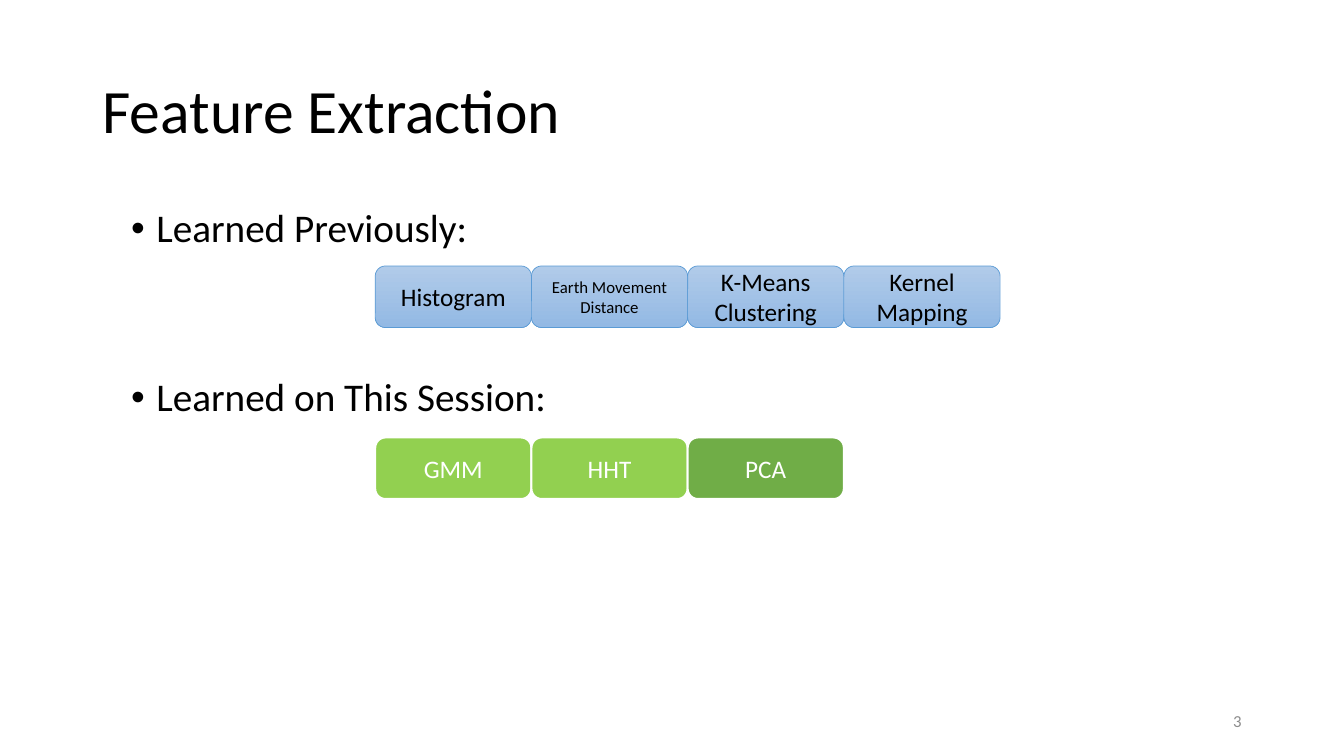
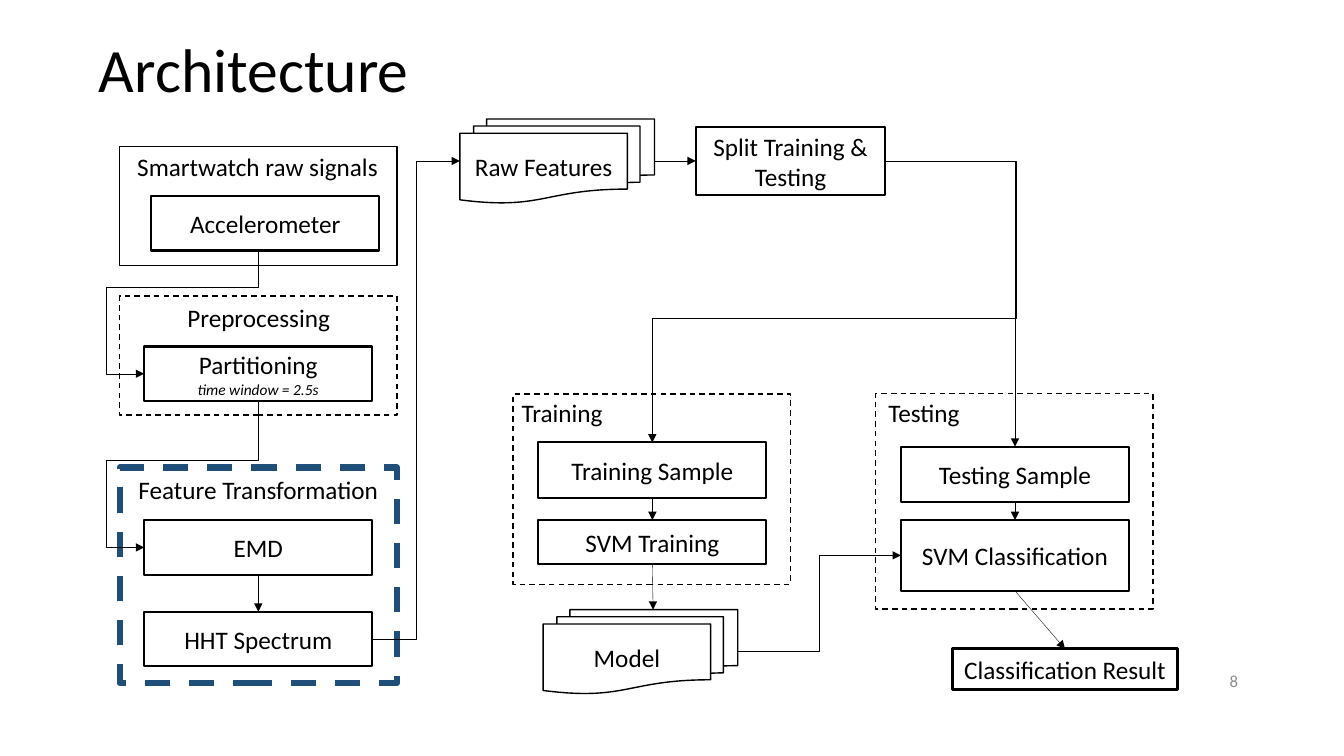
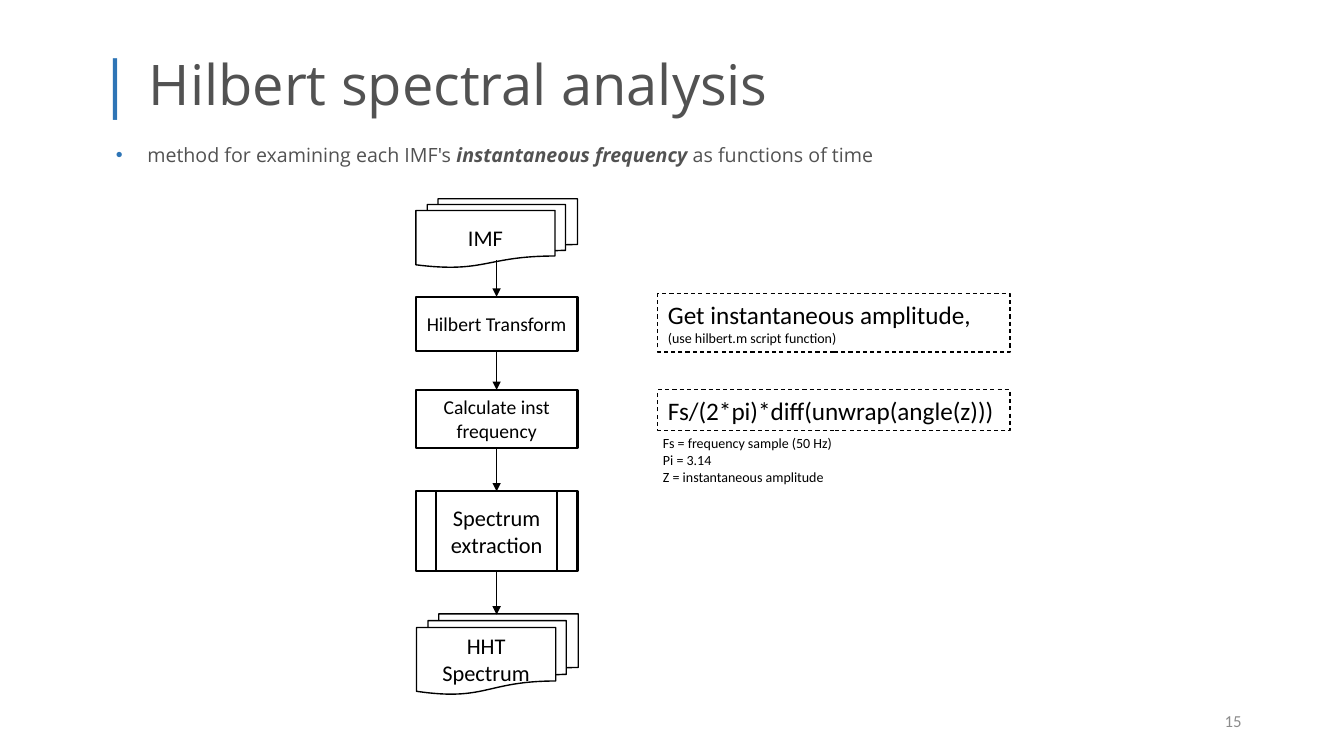
from collections import namedtuple

from pptx import Presentation
from pptx.dml.color import RGBColor
from pptx.enum.dml import MSO_LINE
from pptx.enum.shapes import MSO_CONNECTOR, MSO_SHAPE
from pptx.enum.text import MSO_ANCHOR, MSO_AUTO_SIZE, PP_ALIGN
from pptx.oxml.ns import qn
from pptx.oxml.xmlchemy import OxmlElement
from pptx.util import Pt

BLACK = "000000"
WHITE = "FFFFFF"
GRAY = "8C8C8C"
DARK_GRAY = "525252"
BLUE = "2E75B6"
NAVY = "1F4E79"
LIGHT_GREEN = "92D050"
GREEN = "70AD47"
PALE_BLUES = ("B1CBE9", "93B9E4")
BODY_FONT = "Calibri"
ACCENT_FONT = "Open Sans"

TITLE_AND_BODY, TITLE_ONLY = 1, 5
TOP, LEFT, BOTTOM, RIGHT = range(4)

# One end of a connector: the middle of a side of a shape.
Joint = namedtuple("Joint", "shape side")


def color(hex_code):
    return RGBColor.from_string(hex_code)


def points(*lengths):
    return [Pt(length) for length in lengths]


def write(shape, text, *, size=18, ink=BLACK, font=BODY_FONT, bold=False,
          italic=False, align=PP_ALIGN.LEFT, spacing=None, before=0, same_line=False):
    """Add text as a new paragraph, or to the last one if same_line is set."""
    frame = shape.text_frame
    para = frame.paragraphs[-1]
    if not same_line:
        if para.runs:
            para = frame.add_paragraph()
        para.alignment = align
        para.space_before = Pt(before)
        if spacing:
            para.line_spacing = spacing
    span = para.add_run()
    span.text = text
    span.font.size = Pt(size)
    span.font.name = font
    span.font.bold = bold
    span.font.italic = italic
    span.font.color.rgb = color(ink)
    return para


def add_bullet(para, indent, ink=BLACK):
    properties = para._p.get_or_add_pPr()
    properties.set("marL", str(Pt(indent)))
    properties.set("indent", str(-Pt(indent)))
    bullet_color = OxmlElement("a:buClr")
    rgb = OxmlElement("a:srgbClr")
    rgb.set("val", ink)
    bullet_color.append(rgb)
    bullet = OxmlElement("a:buChar")
    bullet.set("char", "•")
    properties.append(bullet_color)
    properties.append(bullet)


def place(placeholder, left, top, width, height, anchor):
    placeholder.left, placeholder.top, placeholder.width, placeholder.height = points(
        left, top, width, height)
    frame = placeholder.text_frame
    frame.auto_size = MSO_AUTO_SIZE.NONE
    frame.vertical_anchor = anchor
    return placeholder


def add_text_box(page, left, top, width, height, wrap=True):
    box = page.shapes.add_textbox(*points(left, top, width, height))
    box.text_frame.word_wrap = wrap
    return box


def add_page(deck, layout, number, title_area, number_at):
    """Add a slide with its title placed and its number written."""
    page = deck.slides.add_slide(deck.slide_layouts[layout])
    place(page.shapes.title, *title_area, MSO_ANCHOR.MIDDLE)
    number_box = add_text_box(page, *number_at, 216, 29)
    number_box.text_frame.vertical_anchor = MSO_ANCHOR.MIDDLE
    write(number_box, str(number), size=12, ink=GRAY, align=PP_ALIGN.RIGHT)
    return page


def add_box(page, area, text="", *, kind=MSO_SHAPE.RECTANGLE, fill=WHITE, line=BLACK,
            weight=1.5, dashed=False, size=18, ink=BLACK, align=PP_ALIGN.CENTER):
    """Add an outlined shape; fill is a colour, a pair for a gradient, or None."""
    box = page.shapes.add_shape(kind, *points(*area))
    box.shadow.inherit = False
    if fill is None:
        box.fill.background()
    elif isinstance(fill, tuple):
        box.fill.gradient()
        box.fill.gradient_angle = 270
        for stop, shade in zip(box.fill.gradient_stops, fill):
            stop.color.rgb = color(shade)
    else:
        box.fill.solid()
        box.fill.fore_color.rgb = color(fill)
    box.line.color.rgb = color(line)
    box.line.width = Pt(weight)
    if dashed:
        box.line.dash_style = MSO_LINE.DASH
    if text:
        write(box, text, size=size, ink=ink, align=align)
    return box


def add_documents(page, area, text, size=18):
    return add_box(page, area, text, kind=MSO_SHAPE.FLOWCHART_MULTIDOCUMENT,
                   weight=1, size=size)


def add_caption(page, text, left, top, width):
    write(add_text_box(page, left, top, width, 29, wrap=False), text,
          align=PP_ALIGN.CENTER)


def turn_quarter(connector):
    """Turn an elbow that runs down and left so that it leaves downwards."""
    left, top = connector.left, connector.top
    width, height = connector.width, connector.height
    connector.left = left + (width - height) // 2
    connector.top = top + (height - width) // 2
    connector.width, connector.height = height, width
    frame = connector._element.spPr.find(qn("a:xfrm"))
    frame.attrib.pop("flipH", None)
    frame.set("rot", "5400000")


def add_arrow(page, begin, end, *, weight=0.25, bend=None, adjust=(), turned=False):
    """Draw an arrow between joints or points; bend is the elbow's segment count."""
    start = (0, 0) if isinstance(begin, Joint) else begin
    finish = (0, 0) if isinstance(end, Joint) else end
    style = MSO_CONNECTOR.ELBOW if bend else MSO_CONNECTOR.STRAIGHT
    connector = page.shapes.add_connector(style, *points(*start, *finish))
    if isinstance(begin, Joint):
        connector.begin_connect(*begin)
    if isinstance(end, Joint):
        connector.end_connect(*end)
    if turned:
        turn_quarter(connector)
    properties = connector._element.spPr
    if bend:
        geometry = properties.find(qn("a:prstGeom"))
        geometry.set("prst", f"bentConnector{bend}")
        guides = geometry.get_or_add_avLst()
        for index, share in enumerate(adjust, 1):
            guide = OxmlElement("a:gd")
            guide.set("name", f"adj{index}")
            guide.set("fmla", f"val {round(share * 100000)}")
            guides.append(guide)
    connector.line.color.rgb = color(BLACK)
    connector.line.width = Pt(weight)
    head = OxmlElement("a:tailEnd")
    head.set("type", "triangle")
    connector.line._get_or_add_ln().append(head)
    properties.append(OxmlElement("a:effectLst"))


def build_feature_extraction(deck):
    page = add_page(deck, TITLE_AND_BODY, 3, (66, 29, 828, 104), (678, 500.5))
    write(page.shapes.title, "Feature Extraction", size=44, spacing=0.9)
    body = place(page.placeholders[1], 86.5, 145.5, 792, 317, MSO_ANCHOR.TOP)
    for text, before in (("Learned Previously:", 0), ("Learned on This Session:", 90.5)):
        add_bullet(write(body, text, size=28, spacing=0.9, before=before), 18)

    left, pitch, height = 268, 111.6, 44
    previous = (("Histogram", 18), ("Earth Movement Distance", 12),
                ("K-Means Clustering", 18), ("Kernel Mapping", 18))
    for column, (text, size) in enumerate(previous):
        add_box(page, (left + column * pitch, 190, pitch, height), text, size=size,
                kind=MSO_SHAPE.ROUNDED_RECTANGLE, fill=PALE_BLUES, line="5B9BD5",
                weight=0.5)
    session = (("GMM", LIGHT_GREEN), ("HHT", LIGHT_GREEN), ("PCA", GREEN))
    for column, (text, fill) in enumerate(session):
        add_box(page, (left + column * pitch, 312.5, pitch, height), text, ink=WHITE,
                kind=MSO_SHAPE.ROUNDED_RECTANGLE, fill=fill, line=WHITE)


def build_architecture(deck):
    page = add_page(deck, TITLE_ONLY, 8, (63.5, 0, 828, 104), (675.5, 471.5))
    write(page.shapes.title, "Architecture", size=44, spacing=0.9)

    frame_width, step_width = 198, 163
    stage_left, step_left = 85.5, 103
    train_left, test_left = 384.5, 643.5
    add_box(page, (stage_left, 104.5, frame_width, 85), weight=1)
    add_box(page, (stage_left, 334, frame_width, 154), line=NAVY, weight=4.5, dashed=True)
    for left, top, height in ((stage_left, 211.5, 85), (366.5, 281.5, 136),
                              (625.5, 281, 154)):
        add_box(page, (left, top, frame_width, height), weight=1, dashed=True)
    for caption in (("Smartwatch raw signals", 90, 104.5, 188),
                    ("Preprocessing", 126, 212.5, 117.5),
                    ("Feature Transformation", 91.5, 335, 186),
                    ("Training", 365, 280, 73),
                    ("Testing", 627, 280, 66)):
        add_caption(page, *caption)

    def add_step(text, left, top, height=39):
        return add_box(page, (left, top, step_width, height), text)

    add_step("Accelerometer", 108, 140)
    partitioning = add_step("Partitioning", step_left, 247.5)
    write(partitioning, "time window = 2.5s", size=11, italic=True,
          align=PP_ALIGN.CENTER)
    emd = add_step("EMD", step_left, 371.5)
    spectrum = add_step("HHT Spectrum", step_left, 437)
    train_sample = add_step("Training Sample", train_left, 316, 39.5)
    train_svm = add_step("SVM Training", train_left, 371.5, 31.5)
    test_sample = add_step("Testing Sample", test_left, 319, 39.5)
    test_svm = add_step("SVM Classification", test_left, 371.5, 50.5)
    features = add_documents(page, (328.5, 85, 139, 60), "Raw Features")
    model = add_documents(page, (388, 435.5, 139, 60), "Model")
    split = add_box(page, (497, 90.5, 135.5, 49), "Split Training & Testing")
    result = add_box(page, (680.5, 463.5, 160.5, 29), "Classification Result",
                     fill=None, weight=2.25)
    result.text_frame.word_wrap = False

    add_arrow(page, (184.5, 179), Joint(partitioning, LEFT), bend=4,
              adjust=(0.295, 1.333), turned=True)
    add_arrow(page, Joint(partitioning, BOTTOM), Joint(emd, LEFT), bend=4,
              adjust=(0.407, 1.333), turned=True)
    add_arrow(page, Joint(spectrum, RIGHT), Joint(features, LEFT), bend=3, adjust=(0.5,))
    add_arrow(page, Joint(model, RIGHT), Joint(test_svm, LEFT), bend=3, adjust=(0.5,))
    add_arrow(page, Joint(split, RIGHT), Joint(test_sample, TOP), weight=0.5, bend=2)
    add_arrow(page, Joint(split, RIGHT), Joint(train_sample, TOP), weight=0.5, bend=4,
              adjust=(-0.561, 0.56))
    for upper, lower in ((emd, spectrum), (train_sample, train_svm),
                         (test_sample, test_svm), (test_svm, result)):
        add_arrow(page, Joint(upper, BOTTOM), Joint(lower, TOP))
    add_arrow(page, Joint(features, RIGHT), Joint(split, LEFT))
    add_arrow(page, Joint(train_svm, BOTTOM), (466.5, 435.5))


def build_hilbert_analysis(deck):
    page = add_page(deck, TITLE_AND_BODY, 15, (63.5, 29, 828, 64), (678, 500.5))
    title = page.shapes.title
    write(title, "| ", size=44, ink=BLUE, font=ACCENT_FONT, spacing=0.9)
    write(title, "Hilbert spectral analysis", size=40, ink=DARK_GRAY,
          font=ACCENT_FONT, same_line=True)
    body = place(page.placeholders[1], 75.5, 90, 720.5, 30, MSO_ANCHOR.TOP)
    style = {"size": 14, "ink": DARK_GRAY, "font": ACCENT_FONT}
    para = write(body, "method for examining each IMF's ", spacing=1.5, **style)
    add_bullet(para, 22.5, BLUE)
    write(body, "instantaneous frequency ", bold=True, italic=True, same_line=True, **style)
    write(body, "as functions of time", same_line=True, **style)

    left, width = 297, 115.5
    middle = left + width / 2
    add_documents(page, (left, 142, width, 49), "IMF", size=16)
    transform = add_box(page, (left, 212, width, 39), "Hilbert Transform", size=14)
    frequency = add_box(page, (left, 278.5, width, 41.5), "Calculate inst frequency",
                        size=14)
    extraction = add_box(page, (left, 351, width, 57), "Spectrum extraction", size=16,
                         kind=MSO_SHAPE.FLOWCHART_PREDEFINED_PROCESS)
    add_documents(page, (left + 0.5, 438.5, width, 57.5), "HHT Spectrum", size=16)

    add_arrow(page, (middle, 186), Joint(transform, TOP), weight=0.5)
    for upper, lower in ((transform, frequency), (frequency, extraction)):
        add_arrow(page, Joint(upper, BOTTOM), Joint(lower, TOP), weight=0.5)
    add_arrow(page, Joint(extraction, BOTTOM), (middle, 439), weight=0.5)

    note_left, note_width = 470, 251.5
    note_style = {"fill": None, "weight": 0.75, "dashed": True, "align": PP_ALIGN.LEFT}
    amplitude = add_box(page, (note_left, 210, note_width, 41.5),
                        "Get instantaneous amplitude,", **note_style)
    write(amplitude, "(use hilbert.m script function)", size=10)
    add_box(page, (note_left, 278.5, note_width, 29),
            "Fs/(2*pi)*diff(unwrap(angle(z)))", **note_style)
    legend = add_text_box(page, 466.5, 307, note_width, 44)
    for text in ("Fs = frequency sample (50 Hz)", "Pi = 3.14",
                 "Z = instantaneous amplitude"):
        write(legend, text, size=10)


def main():
    deck = Presentation()
    deck.slide_width, deck.slide_height = points(960, 540)
    build_feature_extraction(deck)
    build_architecture(deck)
    build_hilbert_analysis(deck)
    deck.save("out.pptx")


if __name__ == "__main__":
    main()
